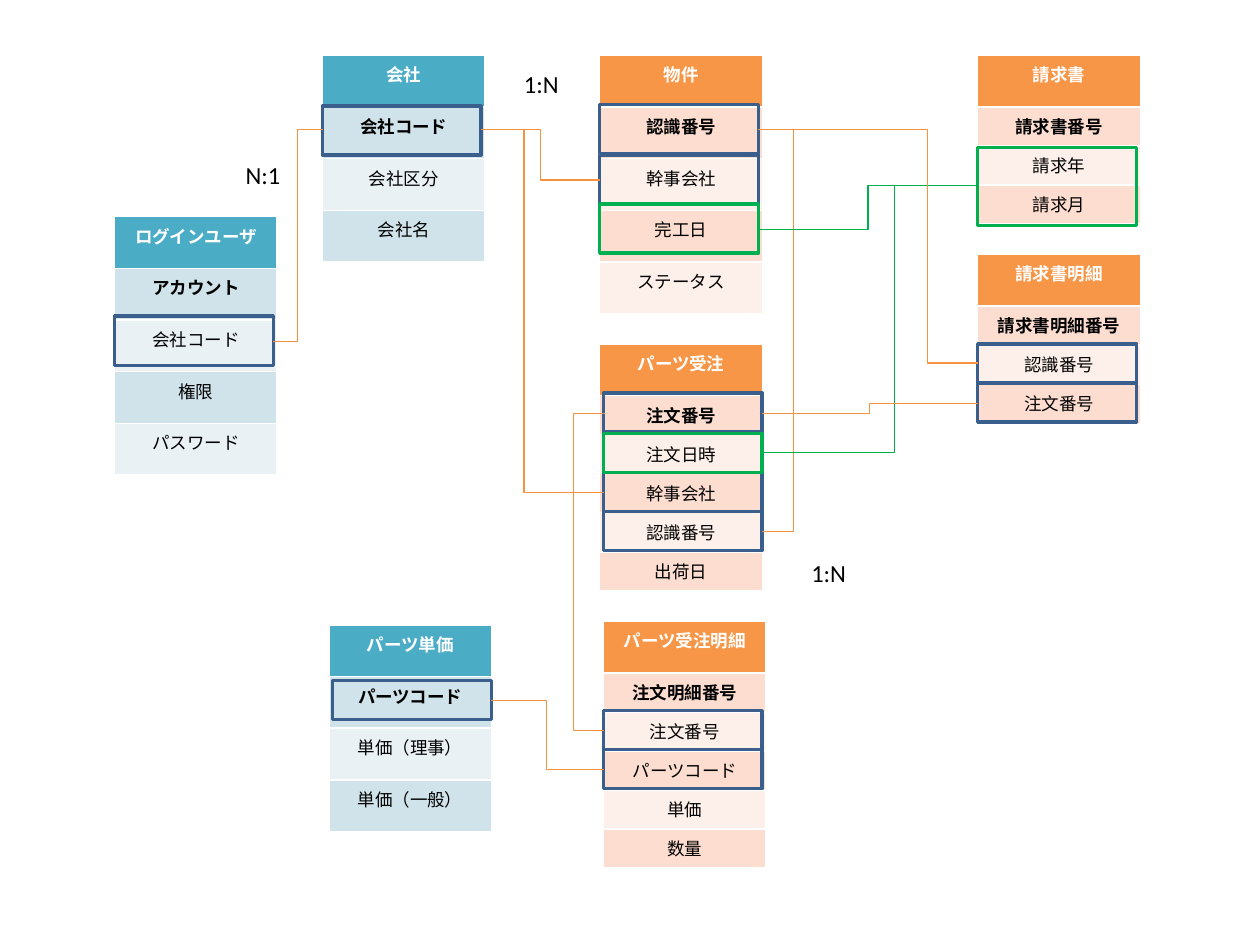
from lxml.etree import SubElement
from pptx import Presentation
from pptx.dml.color import RGBColor
from pptx.enum.shapes import MSO_CONNECTOR as Connector, MSO_SHAPE as Shape
from pptx.enum.text import PP_ALIGN as Align
from pptx.oxml.ns import qn
from pptx.util import Inches, Pt


def color(value):
    return RGBColor.from_string(value)


def style_run(paragraph, size, value, bold=False):
    font = paragraph.runs[0].font
    font.name = "Calibri"
    font.size = Pt(size)
    font.bold = bold
    font.color.rgb = color(value)


BLUE, GREEN, ORANGE = "3A5F8C", "00B050", "F69240"
MASTER = ("4BACC6", "D0E3EA", "E9F1F5")
RECORD = ("F79646", "FCDDCF", "FDEFE9")
HEADER, TALL, SHORT = 0.41, 0.41, 0.31
ENTITY_WIDTH, KEY_WIDTH = 1.29, 1.26

prs = Presentation()
prs.slide_width = Inches(10)
prs.slide_height = Inches(7.5)
slide = prs.slides.add_slide(prs.slide_layouts[6])

entities = [
    (7.76, 2.02, SHORT, RECORD, ["請求書明細", "請求書明細番号", "認識番号", "注文番号"]),
    (2.56, 0.44, TALL, MASTER, ["会社", "会社コード", "会社区分", "会社名"]),
    (0.91, 1.72, TALL, MASTER, ["ログインユーザ", "アカウント", "会社コード", "権限", "パスワード"]),
    (4.76, 0.44, TALL, RECORD, ["物件", "認識番号", "幹事会社", "完工日", "ステータス"]),
    (4.76, 2.73, SHORT, RECORD,
     ["パーツ受注", "注文番号", "注文日時", "幹事会社", "認識番号", "出荷日"]),
    (2.61, 4.96, TALL, MASTER, ["パーツ単価", "パーツコード", "単価（理事）", "単価（一般）"]),
    (4.79, 4.93, SHORT, RECORD,
     ["パーツ受注明細", "注文明細番号", "注文番号", "パーツコード", "単価", "数量"]),
    (7.76, 0.44, SHORT, RECORD, ["請求書", "請求書番号", "請求年", "請求月"]),
]
for left, top, row_height, palette, fields in entities:
    height = HEADER + row_height * (len(fields) - 1)
    entity = slide.shapes.add_table(
        len(fields), 1, Inches(left), Inches(top), Inches(ENTITY_WIDTH), Inches(height)
    ).table
    for index, field in enumerate(fields):
        entity.rows[index].height = Inches(row_height if index else HEADER)
        cell = entity.cell(index, 0)
        cell.fill.solid()
        cell.fill.fore_color.rgb = color(palette[2 - index % 2] if index else palette[0])
        paragraph = cell.text_frame.paragraphs[0]
        paragraph.text = field
        paragraph.alignment = Align.CENTER
        style_run(paragraph, 10, "000000" if index else "FFFFFF", index < 2)

keys = [
    (0.91, 2.51, 0.39, BLUE),
    (2.56, 0.84, 0.39, BLUE),
    (4.76, 1.23, 0.39, BLUE),
    (4.76, 0.83, 0.39, BLUE),
    (4.79, 4.06, 0.31, BLUE),
    (4.79, 3.75, 0.31, BLUE),
    (4.79, 5.64, 0.31, BLUE),
    (4.79, 5.95, 0.31, BLUE),
    (4.79, 3.12, 0.31, BLUE),
    (2.64, 5.4, 0.31, BLUE),
    (7.76, 2.73, 0.31, BLUE),
    (7.76, 3.04, 0.31, BLUE),
    (4.76, 1.62, 0.39, GREEN),
    (4.79, 3.44, 0.31, GREEN),
    (7.76, 1.17, 0.62, GREEN),
]
for left, top, height, line_color in keys:
    key = slide.shapes.add_shape(
        Shape.RECTANGLE, Inches(left), Inches(top), Inches(KEY_WIDTH), Inches(height)
    )
    key.shadow.inherit = False
    key.fill.background()
    key.line.color.rgb = color(line_color)
    key.line.width = Pt(2)

relations = [
    (2.17, 2.71, 2.36, 2.56, 1.03, ORANGE),
    (3.82, 1.03, 4.29, 4.76, 1.43, ORANGE),
    (6.02, 1.03, 6.3, 6.05, 4.22, ORANGE),
    (3.82, 1.03, 4.16, 4.79, 3.91, ORANGE),
    (4.8, 3.28, 4.55, 4.79, 5.8, ORANGE),
    (3.9, 5.56, 4.34, 4.79, 6.11, ORANGE),
    (6.02, 1.82, 6.89, 7.76, 1.47, GREEN),
    (6.05, 3.59, 7.1, 7.76, 1.47, GREEN),
    (6.02, 1.03, 7.36, 7.76, 2.88, ORANGE),
    (6.05, 3.28, 6.9, 7.76, 3.2, ORANGE),
]
for start_x, start_y, bend_x, end_x, end_y, line_color in relations:
    relation = slide.shapes.add_connector(
        Connector.ELBOW, Inches(start_x), Inches(start_y), Inches(end_x), Inches(end_y)
    )
    relation.line.color.rgb = color(line_color)
    relation.line.width = Pt(0.75)
    bend = round((bend_x - start_x) / (end_x - start_x) * 100000)
    properties = relation._element.spPr
    guides = properties.find(qn("a:prstGeom")).find(qn("a:avLst"))
    SubElement(guides, qn("a:gd"), name="adj1", fmla=f"val {bend}")
    SubElement(properties, qn("a:effectLst"))

for left, top, ratio in [(1.85, 1.22, "N:1"), (4.06, 0.5, "1:N"), (6.34, 4.38, "1:N")]:
    cardinality = slide.shapes.add_textbox(
        Inches(left), Inches(top), Inches(0.48), Inches(0.34)
    ).text_frame
    cardinality.word_wrap = False
    cardinality.text = ratio
    style_run(cardinality.paragraphs[0], 14, "000000")

prs.save("out.pptx")
